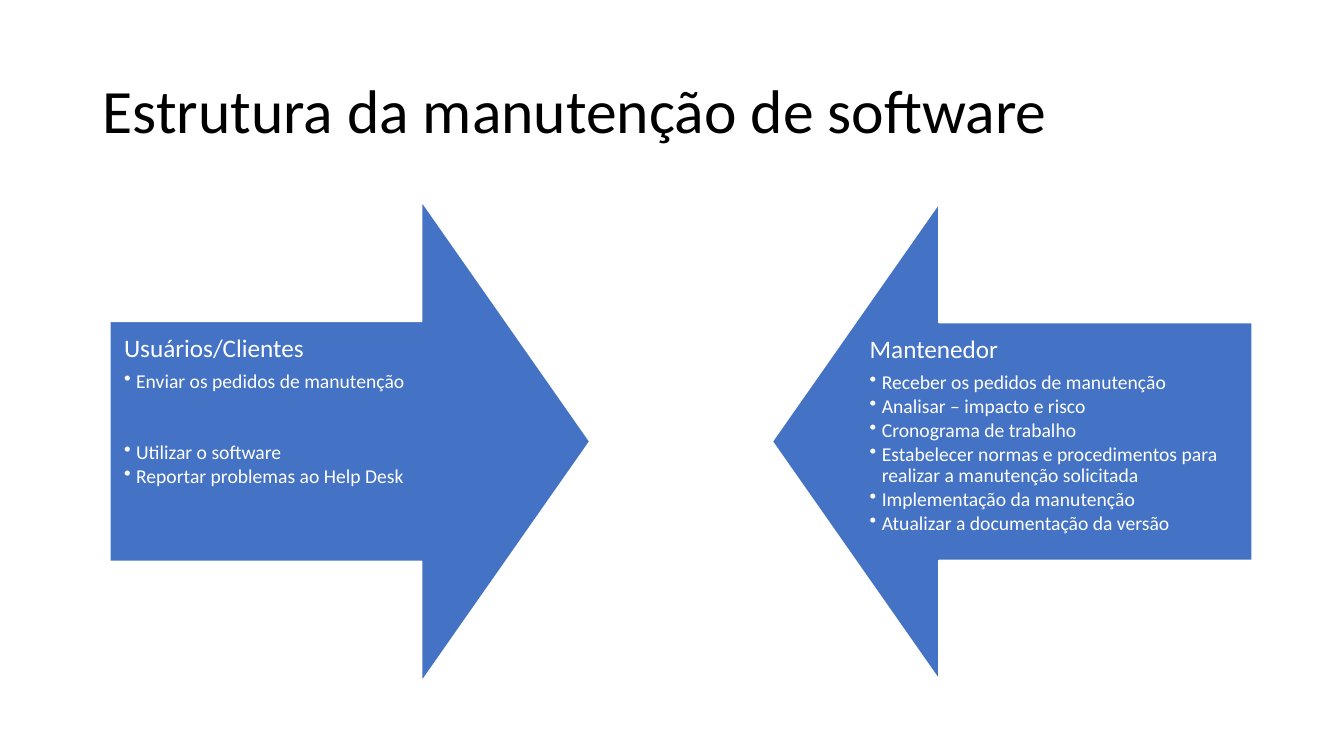
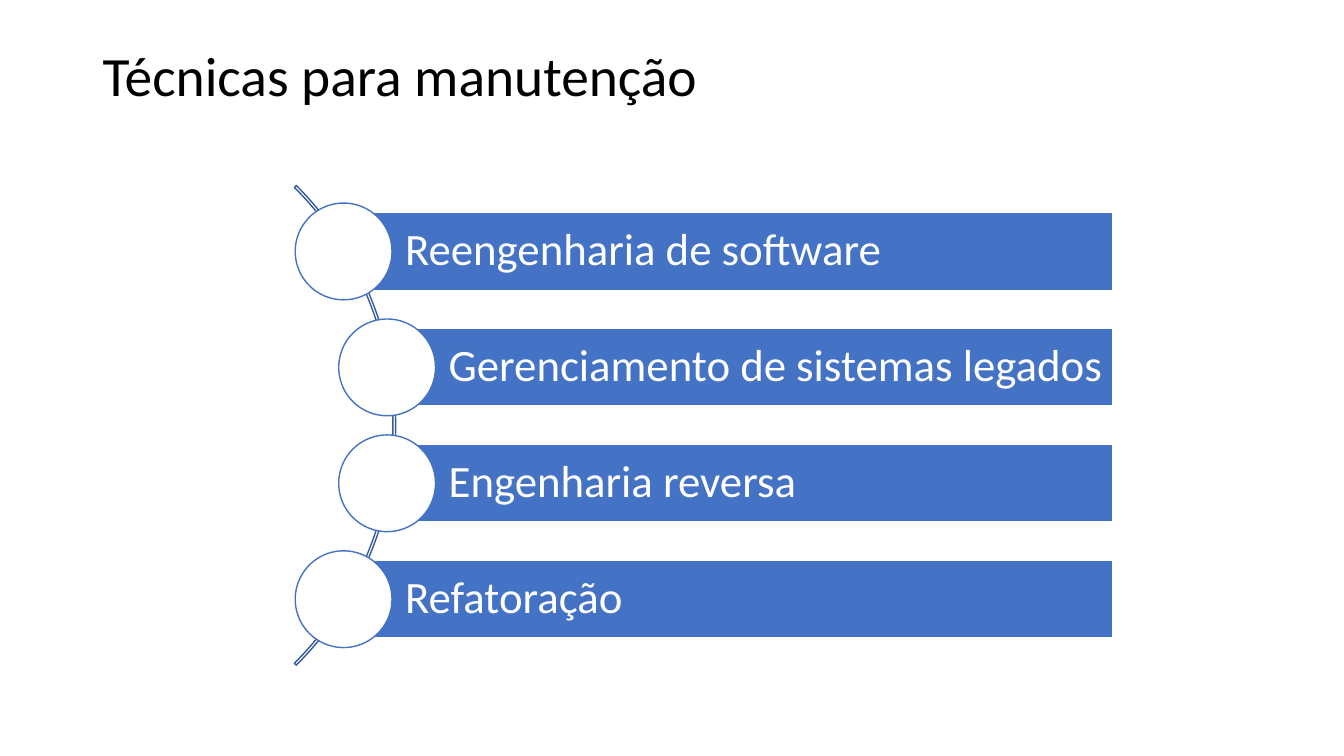
from math import sqrt

from lxml import etree
from pptx import Presentation
from pptx.dml.color import RGBColor
from pptx.enum.shapes import MSO_SHAPE
from pptx.enum.text import MSO_ANCHOR, PP_ALIGN
from pptx.oxml.ns import qn
from pptx.util import Inches, Pt

RIGHT_ARROW, LEFT_ARROW = MSO_SHAPE.RIGHT_ARROW, MSO_SHAPE.LEFT_ARROW
ARC, BAR, CIRCLE = MSO_SHAPE.BLOCK_ARC, MSO_SHAPE.RECTANGLE, MSO_SHAPE.OVAL
TOP, MIDDLE = MSO_ANCHOR.TOP, MSO_ANCHOR.MIDDLE
LEFT = PP_ALIGN.LEFT

FONT = "Calibri"
COLORS = {"blue": "4472C4", "arc": "365B9D", "white": "FFFFFF", "black": "000000"}

# Content
STRUCTURE_TITLE = "Estrutura da manutenção de software"
# Each side: arrow, box, heading, groups of tasks set apart by a gap
SIDES = [
    (RIGHT_ARROW, (1.09, 2, 4.76, 4.76), "Usuários/Clientes", [
        ["Enviar os pedidos de manutenção"],
        ["Utilizar o software", "Reportar problemas ao Help Desk"],
    ]),
    (LEFT_ARROW, (7.66, 2.02, 4.76, 4.72), "Mantenedor", [
        ["Receber os pedidos de manutenção",
         "Analisar – impacto e risco",
         "Cronograma de trabalho",
         "Estabelecer normas e procedimentos para realizar a manutenção solicitada",
         "Implementação da manutenção",
         "Atualizar a documentação da versão"],
    ]),
]
TECHNIQUES_TITLE = "Técnicas para manutenção"
TECHNIQUES = [
    "Reengenharia de software",
    "Gerenciamento de sistemas legados",
    "Engenharia reversa",
    "Refatoração",
]

# Layout of the techniques, in inches
ARC_SIZE = 6.73
ARC_X, ARC_Y = 0.56, 4.22
CIRCLE_ORBIT = 3.33
CIRCLE_SIZE = 0.96
BAR_HEIGHT = 0.77
BAR_RIGHT = 11.04
PITCH = 1.15
GROUP_GAP = 34


def rgb(name):
    return RGBColor.from_string(COLORS[name])


def add_part(slide, preset, box, fill=None, line="white", adjustments=()):
    part = slide.shapes.add_shape(preset, *map(Inches, box))
    part.shadow.inherit = False
    for index, value in enumerate(adjustments):
        part.adjustments[index] = value
    if fill:
        part.fill.solid()
        part.fill.fore_color.rgb = rgb(fill)
    else:
        part.fill.background()
    part.line.color.rgb = rgb(line)
    part.line.width = Pt(1)
    return part


def set_frame(frame, insets, anchor):
    frame.word_wrap = True
    frame.vertical_anchor = anchor
    (frame.margin_left, frame.margin_top,
     frame.margin_right, frame.margin_bottom) = map(Inches, insets)


def write(frame, text, size, color="white", before=0, after=0, bullet=False):
    first = frame.paragraphs[0]
    paragraph = frame.add_paragraph() if first.runs else first
    paragraph.alignment = LEFT
    paragraph.line_spacing = 0.9
    paragraph.space_before, paragraph.space_after = Pt(before), Pt(after)
    run = paragraph.add_run()
    run.text = text
    run.font.name = FONT
    run.font.size = Pt(size)
    run.font.color.rgb = rgb(color)
    if bullet:
        properties = paragraph._p.get_or_add_pPr()
        properties.set("marL", str(Inches(0.12)))
        properties.set("indent", str(-Inches(0.12)))
        etree.SubElement(properties, qn("a:buChar")).set("char", "•")


def add_titled_slide(deck, title, height, size):
    slide = deck.slides.add_slide(deck.slide_layouts[6])
    box = map(Inches, (0.92, 0.4, 11.5, height))
    frame = slide.shapes.add_textbox(*box).text_frame
    set_frame(frame, (0.1, 0.05, 0.1, 0.05), MIDDLE)
    write(frame, title, size, color="black")
    return slide


def build_structure(deck):
    slide = add_titled_slide(deck, STRUCTURE_TITLE, 1.45, 44)
    for preset, box, heading, groups in SIDES:
        arrow = add_part(slide, preset, box, fill="blue", adjustments=(0.5, 0.35))
        frame = arrow.text_frame
        set_frame(frame, (0.14,) * 4, TOP)
        write(frame, heading, 18, after=6)
        for group_index, tasks in enumerate(groups):
            for task_index, task in enumerate(tasks):
                opens_group = group_index > 0 and task_index == 0
                write(frame, task, 14, after=2, bullet=True,
                      before=GROUP_GAP if opens_group else 0)


def build_techniques(deck):
    slide = add_titled_slide(deck, TECHNIQUES_TITLE, 0.76, 39.6)
    # Arc from 315 to 45 degrees
    add_part(slide, ARC,
             (ARC_X - ARC_SIZE / 2, ARC_Y - ARC_SIZE / 2, ARC_SIZE, ARC_SIZE),
             line="arc", adjustments=(189, 27, 0.004))
    # Circles follow the arc; each bar starts at its circle's centre
    for index, technique in enumerate(TECHNIQUES):
        offset = (index - (len(TECHNIQUES) - 1) / 2) * PITCH
        x, y = ARC_X + sqrt(CIRCLE_ORBIT ** 2 - offset ** 2), ARC_Y + offset
        bar = add_part(slide, BAR, (x, y - BAR_HEIGHT / 2, BAR_RIGHT - x, BAR_HEIGHT),
                       fill="blue")
        set_frame(bar.text_frame, (0.61, 0.09, 0.09, 0.09), MIDDLE)
        write(bar.text_frame, technique, 32)
        add_part(slide, CIRCLE,
                 (x - CIRCLE_SIZE / 2, y - CIRCLE_SIZE / 2, CIRCLE_SIZE, CIRCLE_SIZE),
                 fill="white", line="blue")


def main():
    deck = Presentation()
    deck.slide_width, deck.slide_height = Inches(13.33), Inches(7.5)
    build_structure(deck)
    build_techniques(deck)
    deck.save("out.pptx")


if __name__ == "__main__":
    main()
